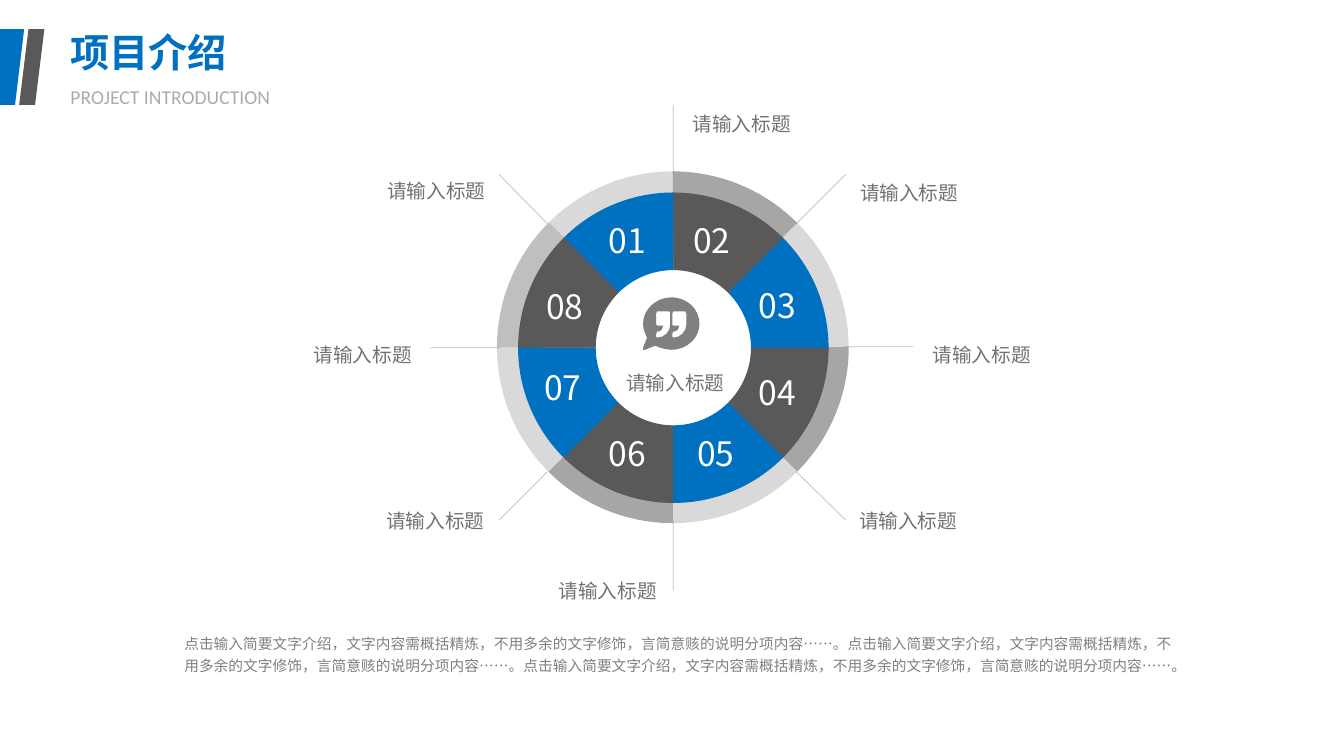
from dataclasses import dataclass
from typing import Any

from lxml import etree
from pptx import Presentation
from pptx.dml.color import RGBColor
from pptx.enum.lang import MSO_LANGUAGE_ID
from pptx.enum.shapes import MSO_CONNECTOR, MSO_SHAPE
from pptx.enum.text import MSO_ANCHOR, MSO_AUTO_SIZE, PP_ALIGN
from pptx.oxml.ns import qn
from pptx.util import Emu, Pt

PX = 9144
SLIDE_WIDTH, SLIDE_HEIGHT = Emu(12192000), Emu(6858000)
STRAIGHT = MSO_CONNECTOR.STRAIGHT
ARC, SLANT = MSO_SHAPE.BLOCK_ARC, MSO_SHAPE.PARALLELOGRAM
LEFT, CENTER, JUSTIFY = PP_ALIGN.LEFT, PP_ALIGN.CENTER, PP_ALIGN.JUSTIFY
CHINESE = MSO_LANGUAGE_ID.SIMPLIFIED_CHINESE

BLUE = RGBColor(0x00, 0x70, 0xC0)
DARK = RGBColor(0x59, 0x59, 0x59)
GRAY = RGBColor(0x80, 0x80, 0x80)
LABEL = RGBColor(0x76, 0x71, 0x71)
WHITE = RGBColor(0xFF, 0xFF, 0xFF)
RIM_DARK = RGBColor(0xA6, 0xA6, 0xA6)
RIM_MID = RGBColor(0xBF, 0xBF, 0xBF)
RIM_LIGHT = RGBColor(0xD9, 0xD9, 0xD9)

CJK, LATIN = "Noto Sans CJK SC", "Calibri"
CAPTION = "请输入标题"
SENTENCE = "点击输入简要文字介绍，文字内容需概括精炼，不用多余的文字修饰，言简意赅的说明分项内容……。"
SECTOR_DEGREES = 45


@dataclass(frozen=True)
class Style:
    color: RGBColor
    font: dict[str, Any]
    paragraph: dict[str, Any]
    wrap: bool = True


@dataclass(frozen=True)
class Sector:
    number: tuple[int, int]
    label: tuple[int, int]
    spoke: tuple[int, int, int, int]
    fill: RGBColor
    rim: RGBColor


CJK_FONT = {"name": CJK, "language_id": CHINESE}
TITLE = Style(BLUE, {**CJK_FONT, "size": Pt(28), "bold": True}, {"alignment": JUSTIFY})
SUBTITLE = Style(DARK, {"name": LATIN, "size": Pt(14)}, {"alignment": JUSTIFY})
NUMBER = Style(WHITE, {**CJK_FONT, "size": Pt(24)}, {"alignment": LEFT}, False)
CAPTIONED = Style(LABEL, {**CJK_FONT, "size": Pt(14)},
                  {"alignment": CENTER, "line_spacing": 2.0})
BODY = Style(GRAY, {**CJK_FONT, "size": Pt(10.5)},
             {"alignment": JUSTIFY, "line_spacing": Pt(16)})

SECTORS = [
    Sector((594, 213), (369, 149), (543, 222, 495, 173), BLUE, RIM_LIGHT),
    Sector((678, 213), (672, 83), (668, 173, 668, 104), DARK, RIM_DARK),
    Sector((743, 278), (838, 151), (790, 222, 839, 173), BLUE, RIM_LIGHT),
    Sector((743, 364), (910, 312), (837, 344, 906, 344), DARK, RIM_DARK),
    Sector((682, 425), (837, 477), (790, 468, 839, 516), BLUE, RIM_LIGHT),
    Sector((594, 425), (539, 546), (668, 517, 668, 586), DARK, RIM_DARK),
    Sector((530, 359), (368, 477), (543, 468, 495, 516), BLUE, RIM_LIGHT),
    Sector((532, 279), (296, 312), (496, 345, 427, 345), DARK, RIM_MID),
]

BUBBLE = [(666, 295), (651, 295, 638, 307, 638, 321), (638, 326, 640, 331, 642, 335),
          (638, 345), (638, 347), (640, 347), (650, 343),
          (655, 345, 661, 347, 666, 347), (682, 347, 694, 335, 694, 321),
          (694, 307, 682, 295, 666, 295)]
QUOTE = [(665, 322), (665, 329, 659, 335, 652, 335), (651, 334), (651, 331), (652, 329),
         (656, 329, 658, 326, 658, 323), (652, 323), (651, 322), (651, 311),
         (652, 309), (664, 309), (665, 311), (665, 322)]
QUOTE_STEP = 16


def emu(*lengths: int) -> list[Emu]:
    return [Emu(n * PX) for n in lengths]


def set_alpha(parent: Any, percent: int) -> None:
    color = next(parent.iter(qn("a:srgbClr")))
    etree.SubElement(color, qn("a:alpha")).set("val", str(percent * 1000))


def write(s: Any, text: str, style: Style) -> Any:
    tf = s.text_frame
    tf.word_wrap = style.wrap
    tf.auto_size = MSO_AUTO_SIZE.NONE
    tf.vertical_anchor = MSO_ANCHOR.TOP
    p = tf.paragraphs[0]
    for name, value in style.paragraph.items():
        setattr(p, name, value)
    r = p.add_run()
    r.text = text
    for name, value in style.font.items():
        setattr(r.font, name, value)
    r.font.color.rgb = style.color
    etree.SubElement(r.font._element, qn("a:ea")).set("typeface", style.font["name"])
    return r


def add_text(sp: Any, box: tuple[int, int, int, int], text: str, style: Style) -> Any:
    return write(sp.add_textbox(*emu(*box)), text, style)


def paint(s: Any, color: RGBColor) -> None:
    s.shadow.inherit = False
    s.fill.solid()
    s.fill.fore_color.rgb = color
    s.line.fill.background()


def add_shape(sp: Any, kind: Any, box: tuple[int, int, int, int], color: RGBColor,
              adjustments: list[float]) -> None:
    s = sp.add_shape(kind, *emu(*box))
    for i, value in enumerate(adjustments):
        s.adjustments[i] = value
    paint(s, color)


def add_sector(sp: Any, index: int, left: int, top: int, size: int, color: RGBColor) -> None:
    start = (225 + index * SECTOR_DEGREES) % 360
    end = (start + SECTOR_DEGREES + 0.2) % 360
    add_shape(sp, ARC, (left, top, size, size), color, [start * 0.6, end * 0.6, 0.25])


def add_spoke(sp: Any, ends: tuple[int, int, int, int]) -> None:
    s = sp.add_connector(STRAIGHT, *emu(*ends))
    s.line.color.rgb = GRAY
    s.line.width = Pt(0.5)
    set_alpha(s.line._ln, 50)
    etree.SubElement(s._element.spPr, qn("a:effectLst"))


def points_of(outline: list[tuple[int, ...]], dx: int) -> list[tuple[int, int]]:
    return [(step[i] + dx, step[i + 1]) for step in outline for i in range(0, len(step), 2)]


def add_quote_bubble(sp: Any) -> None:
    contours = [(BUBBLE, 0), (QUOTE, 0), (QUOTE, QUOTE_STEP)]
    builder = sp.build_freeform(*BUBBLE[0], scale=PX)
    for outline, dx in contours:
        points = points_of(outline, dx)
        if outline is not BUBBLE:
            builder.move_to(*points[0])
        builder.add_line_segments(points[1:])
    s = builder.convert_to_shape()
    lines = s._element.iter(qn("a:lnTo"), qn("a:moveTo"))
    nodes = iter([node for node in lines])
    for outline, _ in contours:
        for step in outline:
            node = next(nodes)
            if len(step) == 6:
                node.tag = qn("a:cubicBezTo")
                for _ in range(2):
                    handle = next(nodes)
                    node.append(handle[0])
                    handle.getparent().remove(handle)
    paint(s, GRAY)


def main() -> None:
    prs = Presentation()
    prs.slide_width, prs.slide_height = SLIDE_WIDTH, SLIDE_HEIGHT
    slide = prs.slides.add_slide(prs.slide_layouts[5])
    sp = slide.shapes

    title = sp.title
    title.left, title.top, title.width, title.height = emu(60, 23, 226, 57)
    write(title, "项目介绍", TITLE)
    r = add_text(sp, (60, 79, 252, 34), "PROJECT INTRODUCTION", SUBTITLE)
    set_alpha(r.font._element, 50)
    add_shape(sp, SLANT, (-12, 29, 36, 75), BLUE, [0.25])
    add_shape(sp, SLANT, (19, 29, 25, 75), DARK, [0.37])

    for i, sector in enumerate(SECTORS):
        add_sector(sp, i, 493, 170, 349, sector.rim)
    for i, sector in enumerate(SECTORS):
        add_sector(sp, i, 514, 191, 308, sector.fill)
    for i, sector in enumerate(SECTORS, 1):
        add_spoke(sp, sector.spoke)
        add_text(sp, (*sector.number, 64, 54), f"{i:02}", NUMBER)
        add_text(sp, (*sector.label, 128, 61), CAPTION, CAPTIONED)

    add_quote_bubble(sp)
    add_text(sp, (600, 340, 140, 61), CAPTION, CAPTIONED)
    add_text(sp, (173, 620, 1001, 53), SENTENCE * 3, BODY)
    prs.save("out.pptx")


if __name__ == "__main__":
    main()
